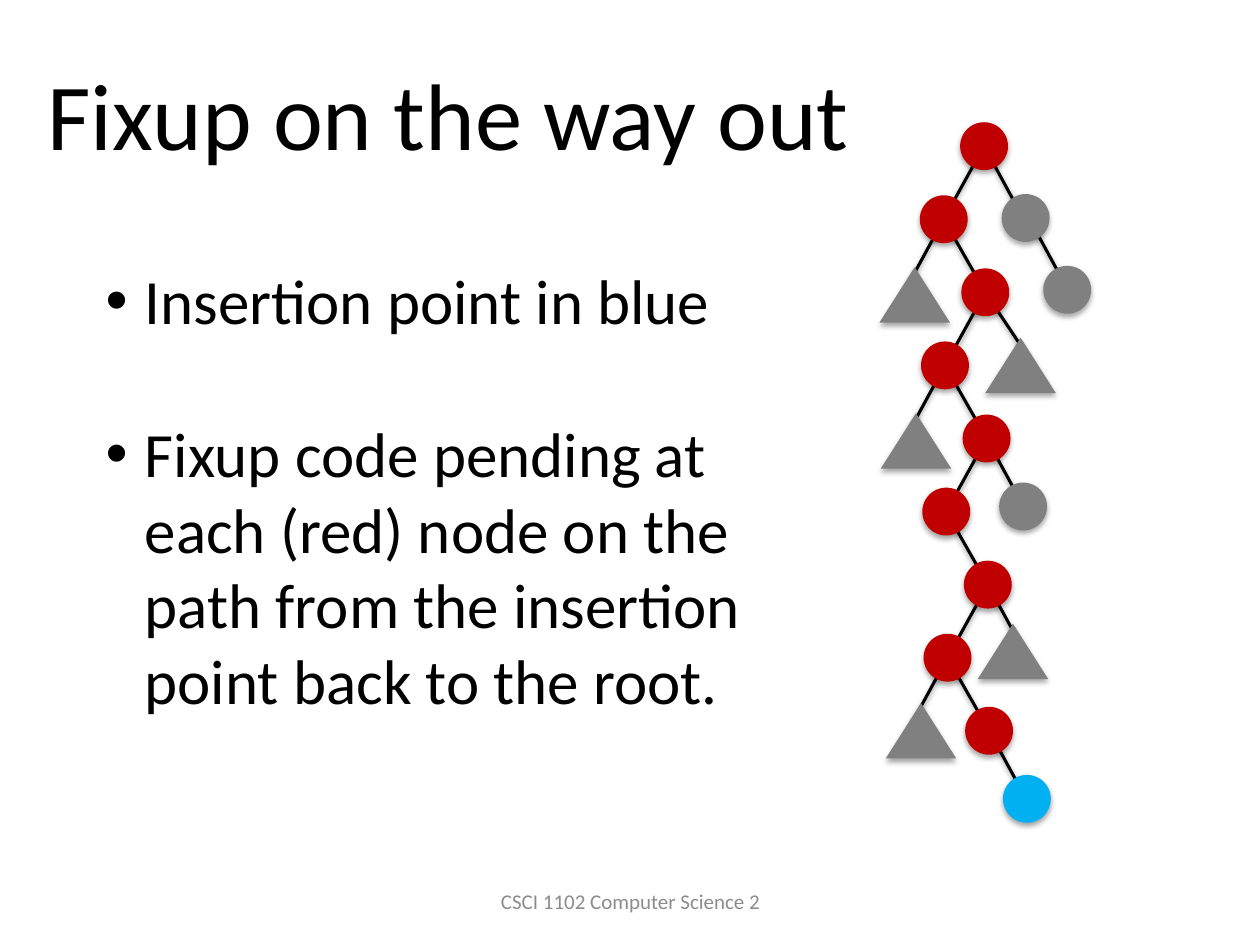
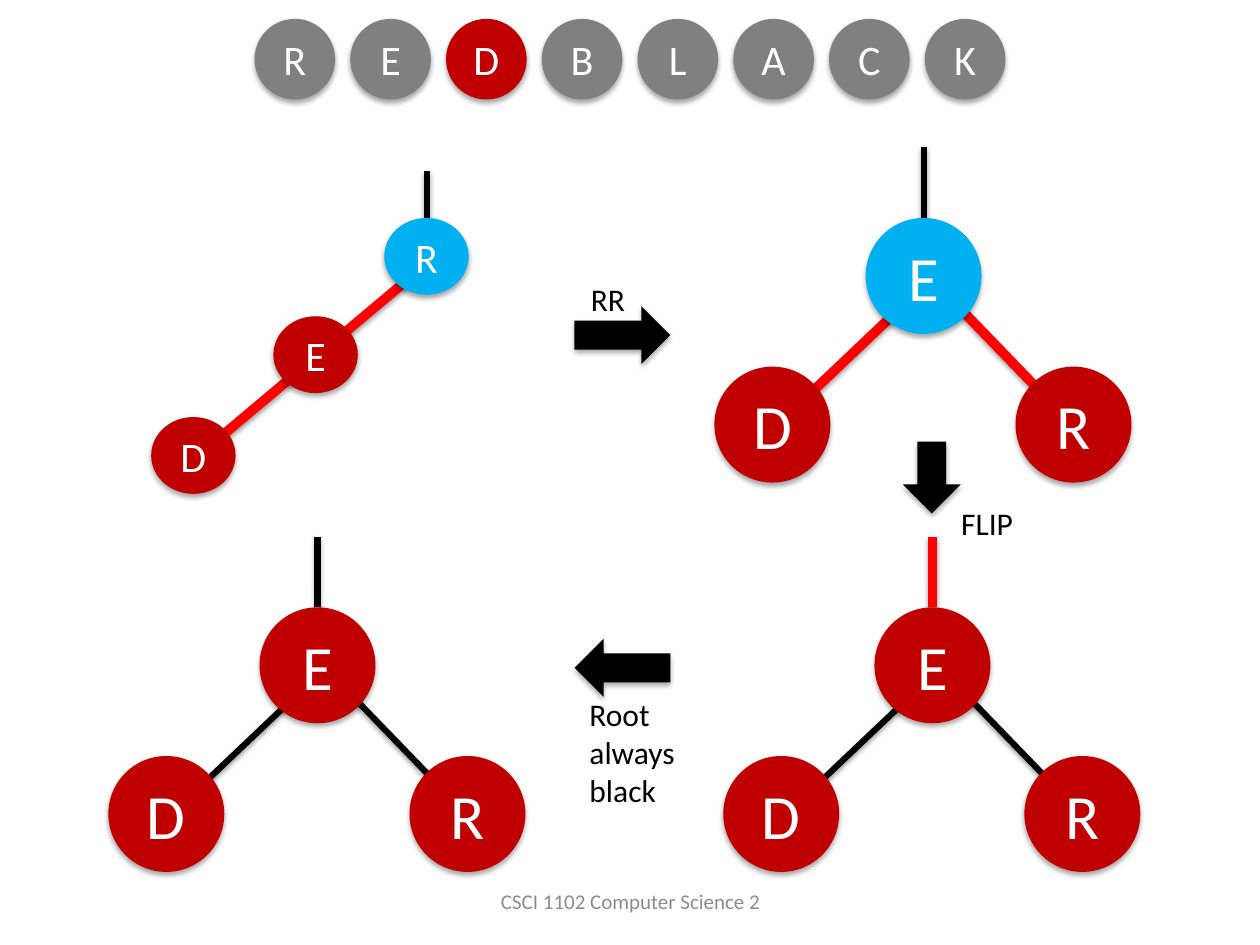
"""Builds two slides on fixing up red-black trees after an insertion."""
from lxml import etree
from pptx import Presentation
from pptx.dml.color import RGBColor
from pptx.enum.shapes import MSO_CONNECTOR, MSO_SHAPE
from pptx.enum.text import MSO_ANCHOR, PP_ALIGN
from pptx.oxml.ns import qn
from pptx.util import Inches, Pt

OVAL = MSO_SHAPE.OVAL
TRIANGLE = MSO_SHAPE.ISOSCELES_TRIANGLE
ARROW = MSO_SHAPE.RIGHT_ARROW
STRAIGHT = MSO_CONNECTOR.STRAIGHT
LEFT, CENTER = PP_ALIGN.LEFT, PP_ALIGN.CENTER
TOP, MIDDLE = MSO_ANCHOR.TOP, MSO_ANCHOR.MIDDLE

FONT = "Calibri"
BLACK, WHITE, GRAY, FOOTER_GRAY = "000000", "FFFFFF", "808080", "8C8C8C"
DARK_RED, RED, BLUE = "C00000", "FF0000", "00B0F0"


def paint(shape, color, line_width=None):
    if line_width:
        shape.line.color.rgb = RGBColor.from_string(color)
        shape.line.width = Pt(line_width)
    else:
        shape.fill.solid()
        shape.fill.fore_color.rgb = RGBColor.from_string(color)
        shape.line.fill.background()
    effects = etree.SubElement(shape._element.spPr, qn("a:effectLst"))
    shadow = etree.SubElement(
        effects, qn("a:outerShdw"), blurRad=str(Pt(3.1)),
        dist=str(Pt(1.6 if line_width else 1.8)), dir="5400000", rotWithShape="0")
    shadow_color = etree.SubElement(shadow, qn("a:srgbClr"), val=BLACK)
    etree.SubElement(shadow_color, qn("a:alpha"), val="38000" if line_width else "35000")


def write(shape, text, size=18, color=BLACK, align=LEFT, anchor=TOP, wrap=True,
          bullet=None, gap=0):
    frame = shape.text_frame
    frame.word_wrap = wrap
    frame.vertical_anchor = anchor
    for index, line in enumerate(text.split("\n")):
        paragraph = frame.add_paragraph() if index else frame.paragraphs[0]
        paragraph.text = line
        paragraph.alignment = align
        if index and gap:
            paragraph.space_before = Pt(gap)
        if bullet:
            properties = paragraph._p.get_or_add_pPr()
            properties.set("marL", str(Inches(0.31)))
            properties.set("indent", str(-Inches(0.31)))
            etree.SubElement(properties, qn("a:buFont"), typeface="Arial")
            etree.SubElement(properties, qn("a:buChar"), char=bullet)
        font = paragraph.runs[0].font
        font.name = FONT
        font.size = Pt(size)
        font.color.rgb = RGBColor.from_string(color)


presentation = Presentation()
presentation.slide_width, presentation.slide_height = Inches(10), Inches(7.5)
blank = presentation.slide_layouts[6]
path_slide, rotation_slide = [presentation.slides.add_slide(blank) for _ in range(2)]
for slide in (path_slide, rotation_slide):
    footer = slide.shapes.add_textbox(Inches(3.42), Inches(6.95), Inches(3.17), Inches(0.4))
    write(footer, "CSCI 1102 Computer Science 2", size=12, color=FOOTER_GRAY,
          align=CENTER, anchor=MIDDLE)

title = path_slide.shapes.add_textbox(Inches(0.28), Inches(0.27), Inches(6.7), Inches(1.25))
write(title, "Fixup on the way out", size=54, anchor=MIDDLE)
body = path_slide.shapes.add_textbox(Inches(0.74), Inches(2.03), Inches(5.29), Inches(3.74))
write(body, "Insertion point in blue\nFixup code pending at each (red) node on the path "
      "from the insertion point back to the root.", size=36, bullet="•", gap=44)

red_path = [(7.81 + 0.01 * (i // 2) - 0.32 * (i % 2), 1.16 + 0.58 * i) for i in range(9)]
branches = [
    (red_path[0], 0.31, OVAL, 7.95, 1.54, GRAY),
    ((8.16, 1.72), 0.31, OVAL, 8.28, 2.11, GRAY),
    (red_path[1], -0.31, TRIANGLE, 6.98, 2.12, GRAY),
    (red_path[2], 0.38, TRIANGLE, 7.82, 2.68, GRAY),
    (red_path[3], -0.31, TRIANGLE, 6.99, 3.28, GRAY),
    (red_path[4], 0.31, OVAL, 7.93, 3.83, GRAY),
    (red_path[6], 0.31, TRIANGLE, 7.76, 4.95, GRAY),
    (red_path[7], -0.31, TRIANGLE, 7.03, 5.58, GRAY),
    (red_path[8], 0.31, OVAL, 7.96, 6.15, BLUE),
]
edges = list(zip(red_path, red_path[1:]))
edges += [((x, y), (x + reach, y + 0.57)) for (x, y), reach, *_ in branches]
for start, end in edges:
    edge = path_slide.shapes.add_connector(STRAIGHT, *map(Inches, start + end))
    paint(edge, BLACK, 1.75)

nodes = [(OVAL, x - 0.19, y - 0.19, DARK_RED) for x, y in red_path]
nodes += [branch[2:] for branch in branches]
for kind, left, top, color in nodes:
    width, height = (0.38, 0.38) if kind == OVAL else (0.56, 0.44)
    node = path_slide.shapes.add_shape(kind, *map(Inches, (left, top, width, height)))
    paint(node, color)

links = [
    (3.39, 2.09, 1.7, 3.51, RED),
    (3.39, 1.36, 3.39, 1.73, BLACK),
]
letters = [("R", 3.05, 1.73, 0.67, 0.61, 24, BLUE),
           ("E", 2.17, 2.51, 0.67, 0.61, 24, DARK_RED),
           ("D", 1.2, 3.31, 0.67, 0.61, 24, DARK_RED)]
letters += [(letter, 2.02 + 0.76 * i, 0.15, 0.64, 0.64, 24, DARK_RED if letter == "D" else GRAY)
            for i, letter in enumerate("REDBLACK")]
for x, y, root_color, stem_color, branch_color in (
        (7.33, 2.19, BLUE, BLACK, RED),
        (7.4, 5.28, DARK_RED, RED, BLACK),
        (2.52, 5.28, DARK_RED, BLACK, BLACK)):
    links += [(x + 0.06, y + 0.02, x + 1.19, y + 1.19, branch_color),
              (x, y + 0.08, x - 1.18, y + 1.2, branch_color),
              (x, y - 1.02, x, y - 0.46, stem_color)]
    for letter, right, down, color in (
            ("E", 0, 0, root_color), ("D", -1.2, 1.18, DARK_RED), ("R", 1.19, 1.18, DARK_RED)):
        letters.append((letter, x + right - 0.46, y + down - 0.46, 0.92, 0.92, 36, color))

for *ends, color in links:
    link = rotation_slide.shapes.add_connector(STRAIGHT, *map(Inches, ends))
    paint(link, color, 5.5 if color == RED else 3.5)
for letter, *box, size, color in letters:
    circle = rotation_slide.shapes.add_shape(OVAL, *map(Inches, box))
    paint(circle, color)
    write(circle, letter, size=size, color=WHITE, align=CENTER, anchor=MIDDLE)

for left, top, width, angle in ((4.56, 2.43, 0.76, 0), (7.11, 3.56, 0.57, 90),
                                (4.56, 5.07, 0.76, 180)):
    arrow = rotation_slide.shapes.add_shape(ARROW, *map(Inches, (left, top, width, 0.46)))
    arrow.rotation = angle
    paint(arrow, BLACK)

for text, left, top, width, height, wrap in (
        ("RR", 4.59, 2.17, 0.48, 0.4, False),
        ("FLIP", 7.53, 3.95, 0.62, 0.4, False),
        ("Root always black", 4.58, 5.47, 0.88, 1.01, True)):
    label = rotation_slide.shapes.add_textbox(*map(Inches, (left, top, width, height)))
    write(label, text, wrap=wrap)

presentation.save("out.pptx")
